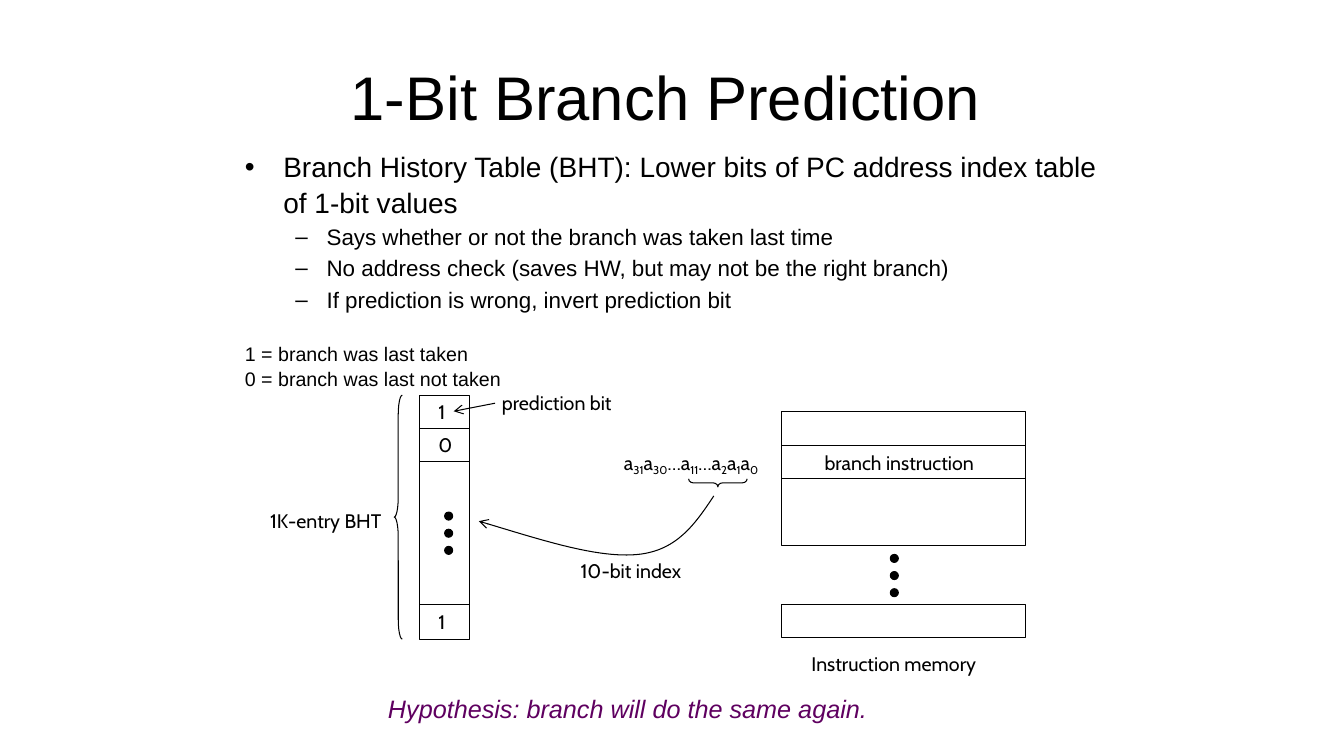
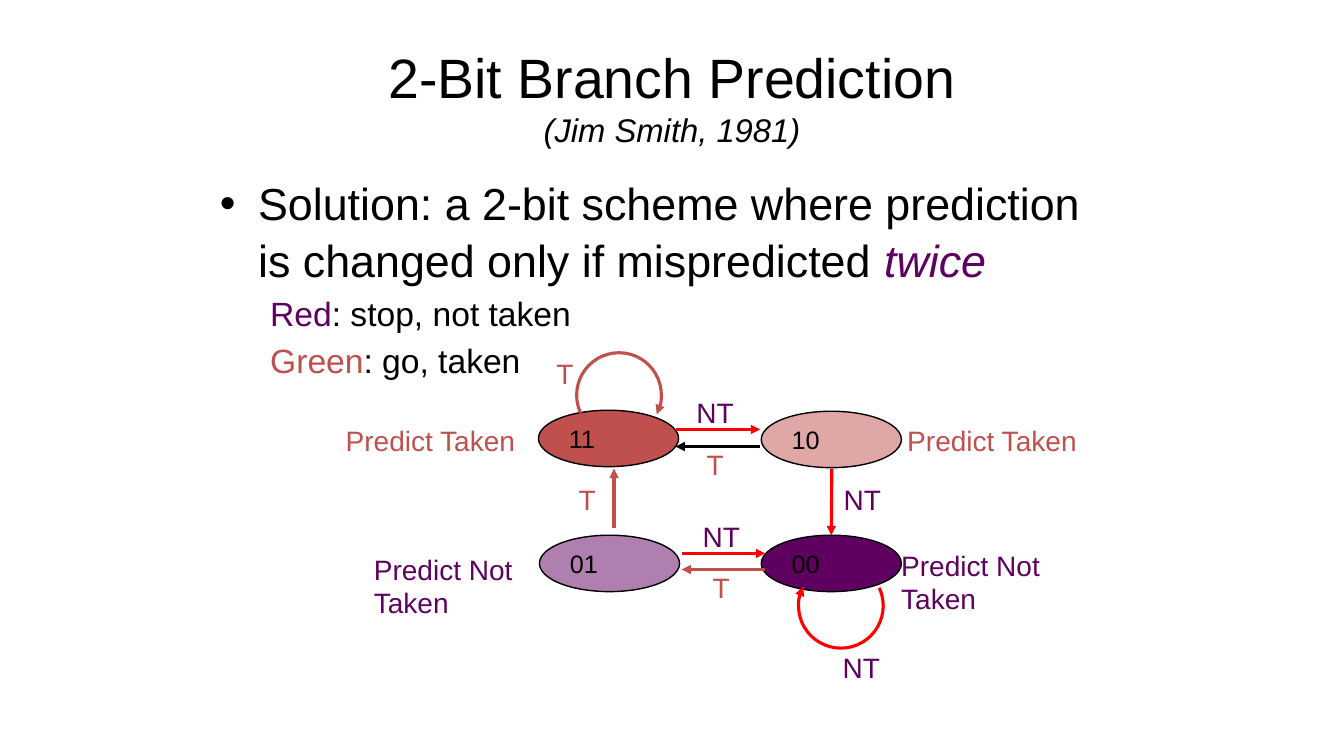
from lxml import etree
from pptx import Presentation
from pptx.dml.color import RGBColor
from pptx.enum import shapes, text
from pptx.oxml.ns import qn
from pptx.util import Inches, Pt

BLACK, PURPLE, BRICK, RED = "000000", "5F0060", "C0504D", "FF0000"
BODY_FONT, DIAGRAM_FONT = "Arial", "Cabin"
LOOSE = 1.05  # line spacing of headline bullets and legend
THIN, THICK = 0.75, 2.25

# Runs are (text, overrides); list items are (level, bullet, size, runs).
BHT_BULLETS = [
    (0, "•", 20, [("Branch History Table (BHT): Lower bits of PC address index table "
                   "of 1-bit values", {})]),
    (1, "–", 16, [("Says whether or not the branch was taken last time", {})]),
    (1, "–", 16, [("No address check (saves HW, but may not be the right branch)", {})]),
    (1, "–", 16, [("If prediction is wrong, invert prediction bit", {})]),
]
SCHEME_BULLETS = [
    (0, "•", 32, [("Solution: a 2-bit scheme where prediction is changed only if "
                   "mispredicted ", {}), ("twice", {"color": PURPLE, "italic": True})]),
    (1, None, 24, [("Red", {"color": PURPLE}), (": stop, not taken", {})]),
    (1, None, 24, [("Green", {"color": BRICK}), (": go, taken", {})]),
]
LEGEND = ["1 = branch was last taken", "0 = branch was last not taken"]
ADDRESS_BITS = [("a", "31"), ("a", "30"), ("…a", "11"), ("…a", "2"), ("a", "1"), ("a", "0")]

# Diagram of slide 1: left, top, width, height, divider heights
BHT_COLUMN = (4.16, 3.92, 0.5, 2.42, [4.25, 4.58, 6])
MEMORY_BLOCKS = [(7.75, 4.08, 2.42, 1.33, [4.42, 4.75]), (7.75, 6, 2.42, 0.33, [])]
BHT_ENTRIES = [("1", 3.92), ("0", 4.25), ("1", 6)]
DIAGRAM_LABELS = [  # text, left, top
    ("branch instruction", 8.08, 4.42),
    ("1K-entry BHT", 2.58, 5),
    ("10-bit index", 5.66, 5.5),
    ("prediction bit", 4.88, 3.83),
    ("Instruction memory", 7.95, 6.42),
]
DOT_COLUMNS = [(8.83, 5.5), (4.41, 5.08)]  # first of three dots
DOT_SIZE, DOT_STEP = 0.08, 0.17
BRACES = [  # left, top, width, height, rotation, curl
    (7.08, 4.5, 0.08, 0.58, 270, 0.58),
    (3.91, 3.92, 0.08, 2.42, 0, 2.42),
]
INDEX_CURVE = [(7.08, 4.92), (6.9, 5.19), (6.72, 5.46), (6.33, 5.5),
               (5.94, 5.54), (5.35, 5.35), (4.75, 5.17)]

# Diagram of slide 2
STATES = [  # name, left, top, colour, opacity in percent
    ("11", 5.34, 4.07, BRICK, 100),
    ("10", 7.55, 4.08, BRICK, 50),
    ("01", 5.35, 5.31, PURPLE, 50),
    ("00", 7.55, 5.31, PURPLE, 100),
]
TRANSITIONS = [  # from, to, colour
    ((6.7, 4.26), (7.54, 4.26), RED),
    ((7.54, 4.43), (6.7, 4.43), BLACK),
    ((6.76, 5.49), (7.59, 5.49), RED),
    ((7.59, 5.65), (6.76, 5.65), BRICK),
    ((6.09, 5.24), (6.09, 4.65), BRICK),
]
LOOPS = [  # left, top, start angle, end angle, colour
    (5.72, 3.5, 155, 27, BRICK),
    (7.92, 5.59, 335, 207, RED),
]
LOOP_SIZE = 0.84
STATE_LABELS = [  # lines, left, top, colour
    (["T"], 5.42, 3.49, BRICK),
    (["T"], 5.64, 4.74, BRICK),
    (["T"], 6.91, 4.39, BRICK),
    (["T"], 6.97, 5.61, BRICK),
    (["NT"], 6.81, 3.87, PURPLE),
    (["NT"], 6.87, 5.1, PURPLE),
    (["NT"], 8.27, 4.74, PURPLE),
    (["NT"], 8.26, 6.4, PURPLE),
    (["Predict Taken"], 3.33, 4.15, BRICK),
    (["Predict Taken"], 8.9, 4.15, BRICK),
    (["Predict Not", "Taken"], 3.61, 5.43, PURPLE),
    (["Predict Not", "Taken"], 8.84, 5.39, PURPLE),
]


def rgb(color):
    return RGBColor.from_string(color)


def place(shape, *box):
    shape.left, shape.top, shape.width, shape.height = map(Inches, box)


def add_run(paragraph, content, size, font=BODY_FONT, color=BLACK, italic=False, baseline=0):
    run = paragraph.add_run()
    run.text = content
    run.font.name, run.font.size = font, Pt(size)
    run.font.color.rgb = rgb(color)
    run.font.italic = italic
    if baseline:
        run._r.get_or_add_rPr().set("baseline", str(baseline * 1000))


def add_text(slide, lines, left, top, width, height, size, spacing=1, **style):
    frame = slide.shapes.add_textbox(*map(Inches, (left, top, width, height))).text_frame
    frame.word_wrap = True
    for index, line in enumerate(lines):
        paragraph = frame.add_paragraph() if index else frame.paragraphs[0]
        paragraph.line_spacing = spacing
        add_run(paragraph, line, size, **style)
    return frame


def fill_list(body, items, *box):
    place(body, *box)
    frame = body.text_frame
    frame.auto_size = text.MSO_AUTO_SIZE.NONE
    for index, (level, bullet, size, runs) in enumerate(items):
        paragraph = frame.add_paragraph() if index else frame.paragraphs[0]
        paragraph.level = level
        margin, indent = [(0.38, -0.38), (0.81, -0.31)][level]
        if not bullet:
            margin, indent = margin + indent, 0
        properties = paragraph._p.get_or_add_pPr()
        properties.set("marL", str(Inches(margin)))
        properties.set("indent", str(Inches(indent)))
        if bullet:
            etree.SubElement(properties, qn("a:buChar")).set("char", bullet)
        else:
            etree.SubElement(properties, qn("a:buNone"))
        if index == 0:
            paragraph.space_before = Pt(0)
            paragraph.line_spacing = LOOSE
        for content, overrides in runs:
            add_run(paragraph, content, size, **overrides)


def start_slide(presentation, title_lines, title_left, bullets, body_box):
    """Add a slide with its title, given as (text, size, italic) lines, and its list."""
    slide = presentation.slides.add_slide(presentation.slide_layouts[1])
    title = slide.shapes.title
    place(title, title_left, 0.33, 7.83, 1.25)
    title.text_frame.auto_size = text.MSO_AUTO_SIZE.NONE
    title.text_frame.vertical_anchor = text.MSO_ANCHOR.MIDDLE
    paragraph = title.text_frame.paragraphs[0]
    paragraph.alignment = text.PP_ALIGN.CENTER
    for index, (content, size, italic) in enumerate(title_lines):
        if index:
            paragraph.add_line_break()
        add_run(paragraph, content, size, italic=italic)
    fill_list(slide.placeholders[1], bullets, *body_box)
    return slide


def set_line(shape, color=BLACK, weight=THIN, arrow=None):
    shape.line.color.rgb = rgb(color)
    shape.line.width = Pt(weight)
    if arrow:
        etree.SubElement(shape.line._get_or_add_ln(), qn("a:tailEnd")).set("type", arrow)


def add_shape(slide, kind, left, top, width, height, fill=None, **line):
    shape = slide.shapes.add_shape(kind, *map(Inches, (left, top, width, height)))
    shape.shadow.inherit = False
    if fill:
        shape.fill.solid()
        shape.fill.fore_color.rgb = rgb(fill)
    else:
        shape.fill.background()
    set_line(shape, **line)
    return shape


def add_line(slide, start, end, **line):
    connector = slide.shapes.add_connector(
        shapes.MSO_CONNECTOR.STRAIGHT, *map(Inches, (*start, *end)))
    set_line(connector, **line)
    etree.SubElement(connector._element.spPr, qn("a:effectLst"))
    return connector


def add_curve(slide, points, **line):
    """Draw cubic curves through a start point and triples of control, control, end."""
    corners = [tuple(map(Inches, point)) for point in points]
    builder = slide.shapes.build_freeform(*corners[0])
    builder.add_line_segments(corners[1:], close=False)
    curve = builder.convert_to_shape()
    curve.shadow.inherit = False
    curve.fill.background()
    set_line(curve, **line)
    segments = list(curve._element.iter(qn("a:lnTo")))
    for first in range(0, len(segments), 3):
        triple = segments[first:first + 3]
        bezier = etree.Element(qn("a:cubicBezTo"))
        triple[0].addprevious(bezier)
        for segment in triple:
            bezier.append(segment[0])
            segment.getparent().remove(segment)


def add_cells(slide, left, top, width, height, dividers):
    add_shape(slide, shapes.MSO_SHAPE.RECTANGLE, left, top, width, height)
    for y in dividers:
        add_line(slide, (left, y), (left + width, y))


def build_one_bit(presentation):
    slide = start_slide(presentation, [("1-Bit Branch Prediction", 44, False)], 2.69,
                        BHT_BULLETS, (2.33, 1.42, 8.76, 1.67))
    for cells in [BHT_COLUMN, *MEMORY_BLOCKS]:
        add_cells(slide, *cells)
    for left, top in DOT_COLUMNS:
        for index in range(3):
            add_shape(slide, shapes.MSO_SHAPE.OVAL, left, top + index * DOT_STEP,
                      DOT_SIZE, DOT_SIZE, fill=BLACK)
    for *box, rotation, curl in BRACES:
        brace = add_shape(slide, shapes.MSO_SHAPE.LEFT_BRACE, *box)
        brace.rotation = rotation
        brace.adjustments[0] = curl
    add_curve(slide, INDEX_CURVE, arrow="arrow")
    add_line(slide, (4.91, 4), (4.5, 4.08), arrow="arrow")

    for digit, top in BHT_ENTRIES:
        add_text(slide, [digit], 4.25, top, 0.4, 0.33, 14, font=DIAGRAM_FONT)
    for label, left, top in DIAGRAM_LABELS:
        add_text(slide, [label], left, top, 1.9, 0.33, 14, font=DIAGRAM_FONT)
    address = add_text(slide, [], 6.09, 4.42, 1.79, 0.34, 14).paragraphs[0]
    for letter, subscript in ADDRESS_BITS:
        add_run(address, letter, 14, DIAGRAM_FONT)
        add_run(address, subscript, 14, DIAGRAM_FONT, baseline=-25)
    add_text(slide, LEGEND, 2.33, 3.33, 4.25, 0.57, 14, spacing=LOOSE)
    add_text(slide, ["Hypothesis: branch will do the same again."],
             3.75, 6.83, 5.1, 0.4, 18, color=PURPLE, italic=True)


def add_state(slide, name, left, top, color, opacity):
    oval = add_shape(slide, shapes.MSO_SHAPE.OVAL, left, top, 1.39, 0.56, fill=color, weight=1)
    if opacity < 100:
        color_element = oval._element.spPr.find(qn("a:solidFill"))[0]
        etree.SubElement(color_element, qn("a:alpha")).set("val", str(opacity * 1000))
    frame = oval.text_frame
    frame.word_wrap = False
    frame.vertical_anchor = text.MSO_ANCHOR.MIDDLE
    frame.paragraphs[0].alignment = text.PP_ALIGN.LEFT
    add_run(frame.paragraphs[0], name, 18)
    return oval


def build_two_bit(presentation):
    title = [("2-Bit Branch Prediction", 39.6, False), ("(Jim Smith, 1981)", 23.4, True)]
    slide = start_slide(presentation, title, 2.75, SCHEME_BULLETS, (2.08, 1.67, 9.17, 5.58))
    ovals = {state[0]: add_state(slide, *state) for state in STATES}
    for left, top, start, end, color in LOOPS:
        loop = add_shape(slide, shapes.MSO_SHAPE.ARC, left, top, LOOP_SIZE, LOOP_SIZE,
                         color=color, weight=THICK, arrow="triangle")
        for index, angle in enumerate((start, end)):
            loop.adjustments[index] = angle * 0.6  # 60000ths of a degree over 100000
    for start, end, color in TRANSITIONS:
        add_line(slide, start, end, color=color, weight=THICK, arrow="triangle")
    downward = add_line(slide, (8.25, 4.65), (8.25, 5.31),
                        color=RED, weight=THICK, arrow="triangle")
    downward.end_connect(ovals["00"], 0)
    for lines, left, top, color in STATE_LABELS:
        width = 0.6 if len(lines[0]) <= 2 else 1.9
        add_text(slide, lines, left, top, width, 0.1 + 0.33 * len(lines), 20, color=color)


def main():
    presentation = Presentation()
    presentation.slide_width, presentation.slide_height = Inches(13.33), Inches(7.5)
    build_one_bit(presentation)
    build_two_bit(presentation)
    presentation.save("out.pptx")


if __name__ == "__main__":
    main()
